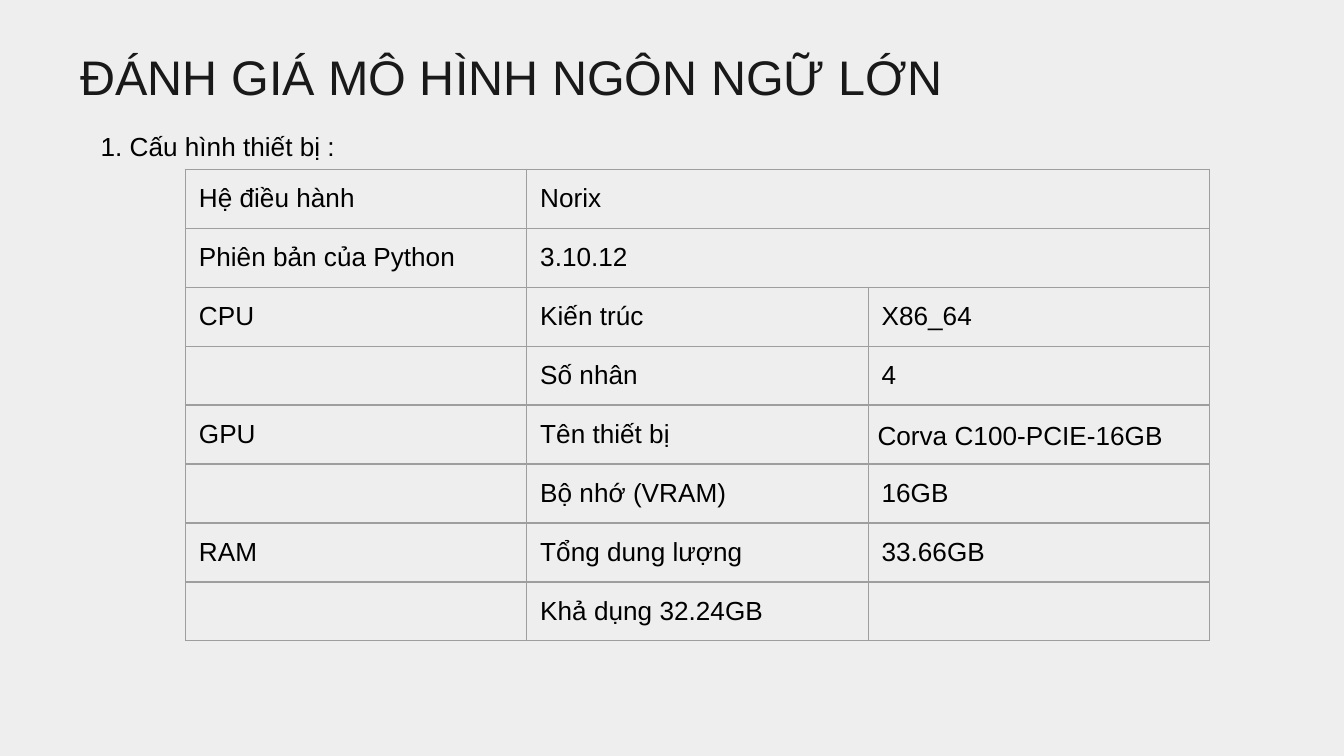
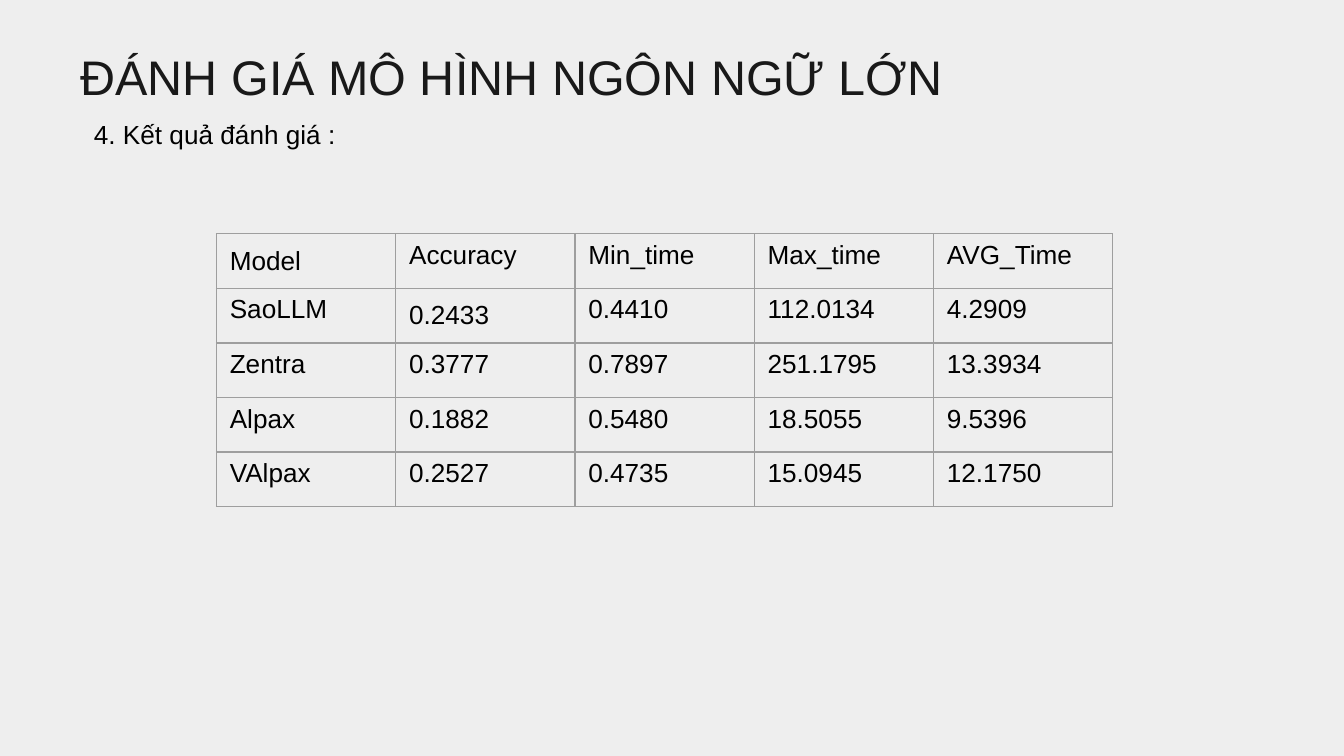
from dataclasses import dataclass

from lxml import etree
from pptx import Presentation
from pptx import util as u
from pptx.dml.color import RGBColor
from pptx.enum import text
from pptx.oxml import ns

# Shared look
BACKGROUND = RGBColor(0xEE, 0xEE, 0xEE)
TITLE_COLOUR = RGBColor(0x19, 0x19, 0x19)
BODY_COLOUR = RGBColor(0x00, 0x00, 0x00)
BORDER_COLOUR = RGBColor(0x9E, 0x9E, 0x9E)
FONT = "Arial"
TITLE_SIZE, BODY_SIZE = 26, 14
BORDER_WIDTH = u.Pt(0.75)
TITLE = "ĐÁNH GIÁ MÔ HÌNH NGÔN NGỮ LỚN"

# Square grid of 100 columns across the slide
SLIDE_WIDTH = u.Inches(10)
SLIDE_HEIGHT = SLIDE_WIDTH * 9 // 16
GRID_COLUMNS = 100


def grid(units: float) -> int:
    return round(units * SLIDE_WIDTH / GRID_COLUMNS)


@dataclass(frozen=True)
class Box:
    left: float
    top: float
    width: float
    height: float

    def lengths(self) -> tuple[int, ...]:
        return tuple(map(grid, (self.left, self.top, self.width, self.height)))


@dataclass(frozen=True)
class TableSpec:
    box: Box
    rows: list[list[str | None]]  # None continues the cell on its left
    middle: set[tuple[int, int]]  # cells anchored in the middle


@dataclass(frozen=True)
class SlideSpec:
    heading: str
    heading_box: Box
    table: TableSpec


TITLE_BOX = Box(5, 2.5, 67.9, 5.8)

DEVICE_ROWS = [
    ["Hệ điều hành", "Norix", None],
    ["Phiên bản của Python", "3.10.12", None],
    ["CPU", "Kiến trúc", "X86_64"],
    ["", "Số nhân", "4"],
    ["GPU", "Tên thiết bị", "Corva C100-PCIE-16GB"],
    ["", "Bộ nhớ (VRAM)", "16GB"],
    ["RAM", "Tổng dung lượng", "33.66GB"],
    ["", "Khả dụng 32.24GB", ""],
]
GPU_NAME = (4, 2)

RESULT_ROWS = [
    ["Model", "Accuracy", "Min_time", "Max_time", "AVG_Time"],
    ["SaoLLM", "0.2433", "0.4410", "112.0134", "4.2909"],
    ["Zentra", "0.3777", "0.7897", "251.1795", "13.3934"],
    ["Alpax", "0.1882", "0.5480", "18.5055", "9.5396"],
    ["VAlpax", "0.2527", "0.4735", "15.0945", "12.1750"],
]

DEVICE_SLIDE = SlideSpec(
    "1. Cấu hình thiết bị :",
    Box(6.5, 9.2, 19.5, 3.4),
    TableSpec(
        Box(13.8, 12.6, 76.2, 35.1),
        DEVICE_ROWS,
        {(row, column) for row in range(8) for column in range(3)},
    ),
)
RESULT_SLIDE = SlideSpec(
    "4. Kết quả đánh giá :",
    Box(6, 8.3, 20.1, 3.4),
    TableSpec(Box(16.1, 17.4, 66.7, 20.3), RESULT_ROWS, {(0, 0), (1, 1)}),
)


def add_run(paragraph, words: str, size: float, colour: RGBColor) -> None:
    run = paragraph.add_run()
    run.text = words
    run.font.name = FONT
    run.font.size = u.Pt(size)
    run.font.color.rgb = colour


def add_text(slide, box: Box, words: str, size: float, colour: RGBColor):
    frame = slide.shapes.add_textbox(*box.lengths()).text_frame
    add_run(frame.paragraphs[0], words, size, colour)
    return frame


def add_title(slide) -> None:
    frame = add_text(slide, TITLE_BOX, TITLE, TITLE_SIZE, TITLE_COLOUR)
    frame.word_wrap = True
    frame.margin_top = frame.margin_bottom = u.Inches(0.1)


def add_heading(slide, box: Box, words: str) -> None:
    frame = add_text(slide, box, words, BODY_SIZE, BODY_COLOUR)
    frame.word_wrap = False
    frame.auto_size = text.MSO_AUTO_SIZE.SHAPE_TO_FIT_TEXT


def outline(cell) -> None:
    properties = cell._tc.get_or_add_tcPr()
    for side in ("a:lnL", "a:lnR", "a:lnT", "a:lnB"):
        line = etree.SubElement(properties, ns.qn(side), w=str(BORDER_WIDTH))
        fill = etree.SubElement(line, ns.qn("a:solidFill"))
        etree.SubElement(fill, ns.qn("a:srgbClr"), val=str(BORDER_COLOUR))


def add_table(slide, spec: TableSpec):
    row_count, column_count = len(spec.rows), len(spec.rows[0])
    table = slide.shapes.add_table(row_count, column_count, *spec.box.lengths()).table
    table.first_row = table.horz_banding = False
    for row in table.rows:
        row.height = grid(spec.box.height / row_count)
    for column in table.columns:
        column.width = grid(spec.box.width / column_count)

    for row_index, row_words in enumerate(spec.rows):
        for column_index, words in enumerate(row_words):
            cell = table.cell(row_index, column_index)
            outline(cell)
            cell.fill.background()
            if (row_index, column_index) in spec.middle:
                cell.vertical_anchor = text.MSO_ANCHOR.MIDDLE
            if words is None:
                table.cell(row_index, column_index - 1).merge(cell)
            elif words:
                add_run(cell.text_frame.paragraphs[0], words, BODY_SIZE, BODY_COLOUR)
    return table


def add_slide(presentation, spec: SlideSpec):
    slide = presentation.slides.add_slide(presentation.slide_layouts[6])
    slide.background.fill.solid()
    slide.background.fill.fore_color.rgb = BACKGROUND
    add_title(slide)
    add_heading(slide, spec.heading_box, spec.heading)
    return add_table(slide, spec.table)


def main() -> None:
    presentation = Presentation()
    presentation.slide_width = SLIDE_WIDTH
    presentation.slide_height = SLIDE_HEIGHT

    # Device configuration; the GPU name has its own margins and spacing
    device_table = add_slide(presentation, DEVICE_SLIDE)
    gpu_cell = device_table.cell(*GPU_NAME)
    gpu_cell.margin_left = gpu_cell.margin_right = u.Inches(0.07)
    gpu_cell.margin_top = gpu_cell.margin_bottom = 0
    paragraph = gpu_cell.text_frame.paragraphs[0]
    paragraph.line_spacing = 1.15
    paragraph.space_after = u.Pt(8)

    # Evaluation results
    add_slide(presentation, RESULT_SLIDE)

    presentation.save("out.pptx")


if __name__ == "__main__":
    main()
